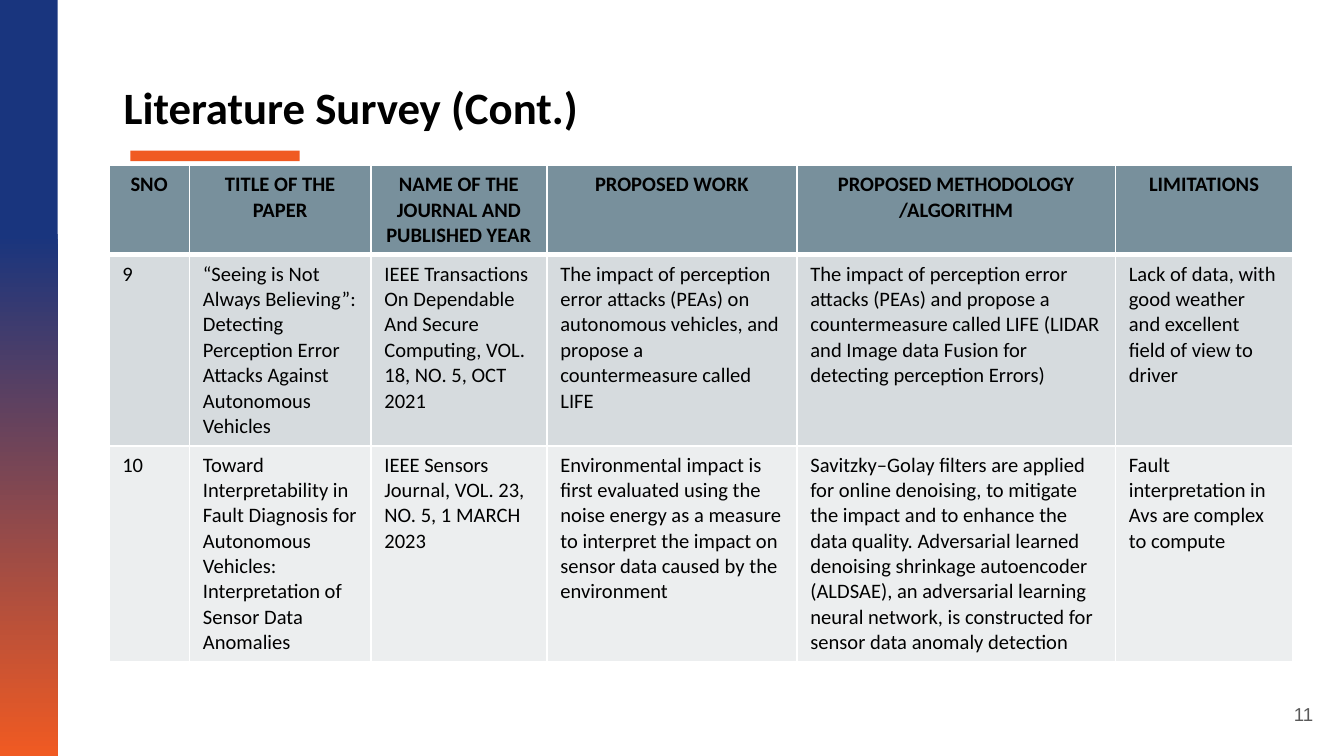
import copy
from dataclasses import dataclass

import pptx
import pptx.dml.color
import pptx.enum.shapes
import pptx.enum.text
import pptx.oxml
import pptx.oxml.ns
import pptx.util

Inches, Pt = pptx.util.Inches, pptx.util.Pt
PP_ALIGN, ANCHOR = pptx.enum.text.PP_ALIGN, pptx.enum.text.MSO_ANCHOR
qn = pptx.oxml.ns.qn


@dataclass(frozen=True)
class Theme:
    navy: str = "19357E"
    orange: str = "F05A22"
    ink: str = "000000"
    muted: str = "595959"
    rule: str = "FFFFFF"
    header: str = "78909C"
    bands: tuple = ("D6DBDE", "ECEEEF")
    font: str = "Calibri"
    number_font: str = "Arial"
    title_size: int = 24
    table_size: int = 11
    number_size: int = 10


THEME = Theme()
SLIDE_W = 10
SLIDE_H = SLIDE_W * 9 / 16
TITLE = "Literature Survey (Cont.)"
PAGE_NUMBER = "11"

# Each cell is a list of paragraphs split at line ends.
HEADINGS = ["SNO", "TITLE OF THE PAPER", "NAME OF THE JOURNAL AND PUBLISHED YEAR",
            "PROPOSED WORK", "PROPOSED METHODOLOGY\n/ALGORITHM", "LIMITATIONS"]
PAPERS = [
    ["9",
     "“Seeing is Not Always Believing”: Detecting Perception Error Attacks "
     "Against Autonomous Vehicles",
     "IEEE Transactions On Dependable And Secure Computing, VOL. 18, NO. 5, OCT 2021",
     "The impact of perception error attacks (PEAs) on autonomous vehicles, "
     "and propose a countermeasure called LIFE",
     "The impact of perception error attacks (PEAs) and propose a countermeasure "
     "called LIFE (LIDAR and Image data Fusion for detecting perception Errors)",
     "Lack of data, with good weather and excellent field of view to driver"],
    ["10",
     "Toward Interpretability in Fault Diagnosis for Autonomous Vehicles: "
     "Interpretation of Sensor Data Anomalies",
     "IEEE Sensors Journal, VOL. 23, NO. 5, 1 MARCH 2023",
     "Environmental impact is first evaluated using the noise energy as a measure "
     "to interpret the impact on sensor data caused by the environment",
     "Savitzky–Golay filters are applied for online denoising, to mitigate the impact "
     "and to enhance the data quality. Adversarial learned denoising shrinkage "
     "autoencoder (ALDSAE), an adversarial learning neural network, is constructed "
     "for sensor data anomaly detection",
     "Fault interpretation in Avs are complex to compute"],
]
COLUMN_WIDTHS = [0.6, 1.35, 1.31, 1.86, 2.37, 1.32]
ROW_HEIGHTS = [0.65, 1.4, 1.6]
TABLE_LEFT, TABLE_TOP = 0.81, 1.23


def rgb(color):
    return pptx.dml.color.RGBColor.from_string(color)


def write(frame, text, size, color=THEME.ink, font=THEME.font, bold=False,
          align=PP_ALIGN.LEFT):
    for index, line in enumerate(text.split("\n")):
        paragraph = frame.paragraphs[0] if index == 0 else frame.add_paragraph()
        paragraph.alignment = align
        run = paragraph.add_run()
        run.text = line
        run.font.size, run.font.bold, run.font.name = Pt(size), bold, font
        run.font.color.rgb = rgb(color)


def set_frame(frame, anchor):
    frame.word_wrap = True
    frame.auto_size = pptx.enum.text.MSO_AUTO_SIZE.NONE
    frame.vertical_anchor = anchor
    frame.margin_left = frame.margin_right = Inches(0.1)
    frame.margin_top = frame.margin_bottom = Inches(0.1)


def add_bar(slide, left, top, width, height):
    bar = slide.shapes.add_shape(pptx.enum.shapes.MSO_SHAPE.RECTANGLE,
                                 *map(Inches, (left, top, width, height)))
    bar.shadow.inherit = False
    bar.line.fill.background()
    return bar


def fade_down(bar):
    """Hold navy for the top 31 % of the bar, then fade to orange."""
    bar.fill.gradient()
    bar.fill.gradient_angle = 270
    first, last = bar.fill.gradient_stops
    first.color.rgb, last.color.rgb = rgb(THEME.navy), rgb(THEME.orange)
    first.position, last.position = 0, 1
    start = next(bar._element.iter(qn("a:gs")))
    hold = copy.deepcopy(start)
    hold.set("pos", "31000")
    start.addnext(hold)


def set_borders(cell, top, bottom):
    properties = cell._tc.get_or_add_tcPr()
    for side, width in (("L", 1), ("R", 1), ("T", top), ("B", bottom)):
        properties.append(pptx.oxml.parse_xml(
            f'<a:ln{side} xmlns:a="http://schemas.openxmlformats.org/drawingml/2006/main" '
            f'w="{Pt(width)}"><a:solidFill><a:srgbClr val="{THEME.rule}"/></a:solidFill>'
            f'</a:ln{side}>'))


def add_survey(slide):
    rows = [HEADINGS] + PAPERS
    table = slide.shapes.add_table(
        len(rows), len(HEADINGS), Inches(TABLE_LEFT), Inches(TABLE_TOP),
        Inches(sum(COLUMN_WIDTHS)), Inches(sum(ROW_HEIGHTS))).table
    for column, width in zip(table.columns, COLUMN_WIDTHS):
        column.width = Inches(width)
    for r, texts in enumerate(rows):
        table.rows[r].height = Inches(ROW_HEIGHTS[r])
        is_header = r == 0
        for c, text in enumerate(texts):
            cell = table.cell(r, c)
            set_borders(cell, top=3 if r == 1 else 1, bottom=3 if is_header else 1)
            cell.fill.solid()
            cell.fill.fore_color.rgb = rgb(
                THEME.header if is_header else THEME.bands[(r - 1) % 2])
            write(cell.text_frame, text, THEME.table_size, bold=is_header,
                  align=PP_ALIGN.CENTER if is_header else PP_ALIGN.LEFT)


def main():
    deck = pptx.Presentation()
    deck.slide_width, deck.slide_height = Inches(SLIDE_W), Inches(SLIDE_H)
    slide = deck.slides.add_slide(deck.slide_layouts.get_by_name("Title Only"))

    fade_down(add_bar(slide, 0, 0, 0.43, SLIDE_H))
    accent = add_bar(slide, 0.97, 1.12, 1.26, 0.08)
    accent.fill.solid()
    accent.fill.fore_color.rgb = rgb(THEME.orange)

    title = slide.shapes.title
    title.left, title.top, title.width, title.height = map(
        Inches, (0.82, 0.49, 8.45, 0.57))
    set_frame(title.text_frame, ANCHOR.TOP)
    write(title.text_frame, TITLE, THEME.title_size, bold=True)

    page = slide.shapes.add_textbox(*map(Inches, (9.27, 5.1, 0.6, 0.43))).text_frame
    set_frame(page, ANCHOR.MIDDLE)
    write(page, PAGE_NUMBER, THEME.number_size, THEME.muted, THEME.number_font,
          align=PP_ALIGN.RIGHT)

    add_survey(slide)
    deck.save("out.pptx")


if __name__ == "__main__":
    main()
